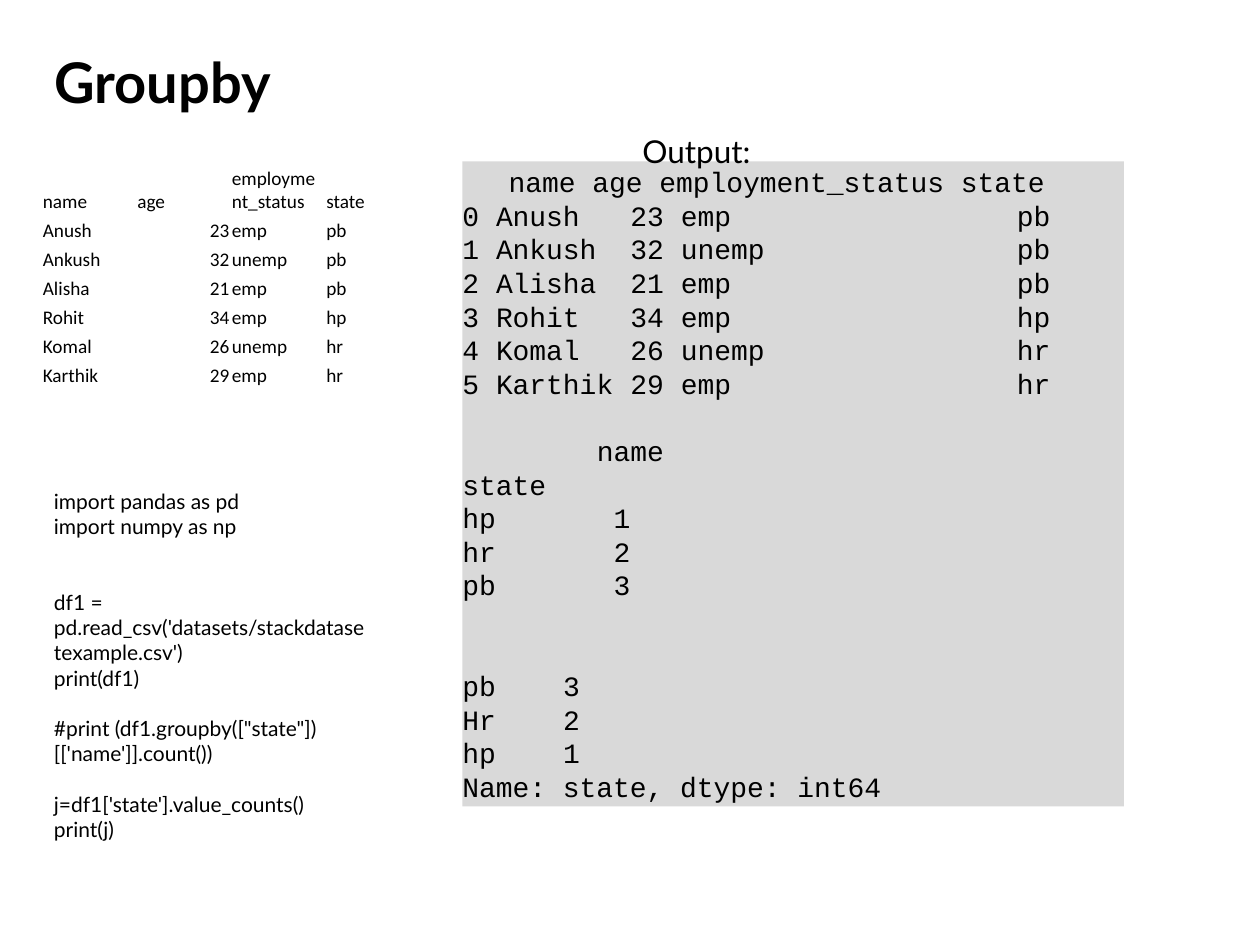
from lxml.etree import SubElement
from pptx import Presentation
from pptx.dml.color import RGBColor
from pptx.enum.shapes import MSO_SHAPE as Shape
from pptx.enum.text import MSO_ANCHOR as Anchor, MSO_AUTO_SIZE as AutoSize, PP_ALIGN as Align
from pptx.oxml.ns import qn
from pptx.util import Inches, Pt

COLORS = {"text": "000000", "panel": "D9D9D9"}
TITLE = "Groupby"
OUTPUT_LABEL = "Output:"

PEOPLE = [
    ("name", "age", "employment_status", "state"),
    ("Anush", "23", "emp", "pb"),
    ("Ankush", "32", "unemp", "pb"),
    ("Alisha", "21", "emp", "pb"),
    ("Rohit", "34", "emp", "hp"),
    ("Komal", "26", "unemp", "hr"),
    ("Karthik", "29", "emp", "hr"),
]

# (blank lines above, text)
CODE = [
    (0, "import pandas as pd"),
    (0, "import numpy as np"),
    (2, "df1 = pd.read_csv('datasets/stackdatasetexample.csv')"),
    (0, "print(df1)"),
    (1, "#print (df1.groupby([\"state\"])[['name']].count())"),
    (1, "j=df1['state'].value_counts()"),
    (0, "print(j)"),
]

# (blank lines above, tab stops in characters, fields)
FRAME_STOPS = (2, 10, 13, 33)
OUTPUT = [(0, (2.75,), ("", " ".join(PEOPLE[0])))]
OUTPUT += [(0, FRAME_STOPS, (str(i), *person)) for i, person in enumerate(PEOPLE[1:])]
OUTPUT += [
    (1, (8,), ("", "name")),
    (0, (), ("state",)),
    (0, (9,), ("hp", "1")),
    (0, (9,), ("hr", "2")),
    (0, (9,), ("pb", "3")),
    (2, (6,), ("pb", "3")),
    (0, (6,), ("Hr", "2")),
    (0, (6,), ("hp", "1")),
    (0, (), ("Name: state, dtype: int64",)),
]

LEFT = 0.33
COL_W, HEAD_H, ROW_H = 0.75, 0.62, 0.23
CODE_SIZE, CODE_LINE = 12, 14.4
OUT_SIZE, OUT_LINE = 16, 19.2
CHAR_W = 0.6 * OUT_SIZE  # monospaced advance, in points


def box(*lengths):
    return [Inches(n) for n in lengths]


def style(p, font, size, bold=False, align=Align.LEFT):
    p.alignment = align
    p.font.name, p.font.size, p.font.bold = font, Pt(size), bold
    p.font.color.rgb = RGBColor.from_string(COLORS["text"])


def set_tabs(p, stops):
    """Add left tab stops, given in characters; call before style()."""
    if stops:
        tabs = SubElement(p._p.get_or_add_pPr(), qn("a:tabLst"))
        for stop in stops:
            SubElement(tabs, qn("a:tab"), pos=str(Pt(stop * CHAR_W)), algn="l")


def paragraphs(tf, count):
    return [tf.paragraphs[0]] + [tf.add_paragraph() for _ in range(count - 1)]


def add_text(slide, *lengths):
    tf = slide.shapes.add_textbox(*box(*lengths)).text_frame
    tf.word_wrap = True
    return tf


def add_title(slide):
    title = slide.shapes.title
    title.left, title.top, title.width, title.height = box(LEFT, 0.33, 4.75, 0.64)
    tf = title.text_frame
    tf.text = TITLE
    tf.auto_size, tf.vertical_anchor = AutoSize.NONE, Anchor.TOP
    style(tf.paragraphs[0], "Lato", 32, bold=True)


def add_people(slide):
    rows, cols = len(PEOPLE), len(PEOPLE[0])
    height = HEAD_H + ROW_H * (rows - 1)
    table = slide.shapes.add_table(rows, cols, *box(LEFT, 1.08, COL_W * cols, height)).table
    table.first_row = table.horz_banding = False
    for column in table.columns:
        column.width = Inches(COL_W)
    for r, values in enumerate(PEOPLE):
        table.rows[r].height = Inches(ROW_H if r else HEAD_H)
        for c, value in enumerate(values):
            cell = table.cell(r, c)
            cell.fill.background()
            cell.vertical_anchor = Anchor.BOTTOM
            cell.margin_left = cell.margin_right = cell.margin_top = Inches(0.01)
            cell.margin_bottom = 0
            cell.text = value
            align = Align.RIGHT if value.isdigit() else Align.LEFT
            style(cell.text_frame.paragraphs[0], "Calibri", 11, align=align)


def add_code(slide):
    tf = add_text(slide, LEFT, 3.83, 2.67, 3.43)
    for p, (gap, line) in zip(paragraphs(tf, len(CODE)), CODE):
        p.text = line
        p.space_before = Pt(gap * CODE_LINE)
        style(p, "Lato", CODE_SIZE)


def add_output(slide):
    panel = slide.shapes.add_shape(Shape.RECTANGLE, *box(3.67, 1.28, 5.25, 5.12))
    panel.shadow.inherit = False
    panel.fill.solid()
    panel.fill.fore_color.rgb = RGBColor.from_string(COLORS["panel"])
    panel.line.fill.background()
    tf = panel.text_frame
    tf.word_wrap, tf.vertical_anchor = True, Anchor.MIDDLE
    tf.margin_left = tf.margin_right = tf.margin_top = tf.margin_bottom = 0
    for p, (gap, stops, fields) in zip(paragraphs(tf, len(OUTPUT)), OUTPUT):
        p.text = "\t".join(fields)
        set_tabs(p, stops)
        p.line_spacing, p.space_before = Pt(OUT_LINE), Pt(gap * OUT_LINE)
        style(p, "Courier New", OUT_SIZE)

    label = add_text(slide, 5, 1, 2.83, 0.4)
    label.text = OUTPUT_LABEL
    style(label.paragraphs[0], "Lato", 18)


def main():
    prs = Presentation()
    prs.slide_width, prs.slide_height = box(10, 7.5)
    slide = prs.slides.add_slide(prs.slide_layouts.get_by_name("Title Only"))
    for add in (add_title, add_people, add_code, add_output):
        add(slide)
    prs.save("out.pptx")


if __name__ == "__main__":
    main()
